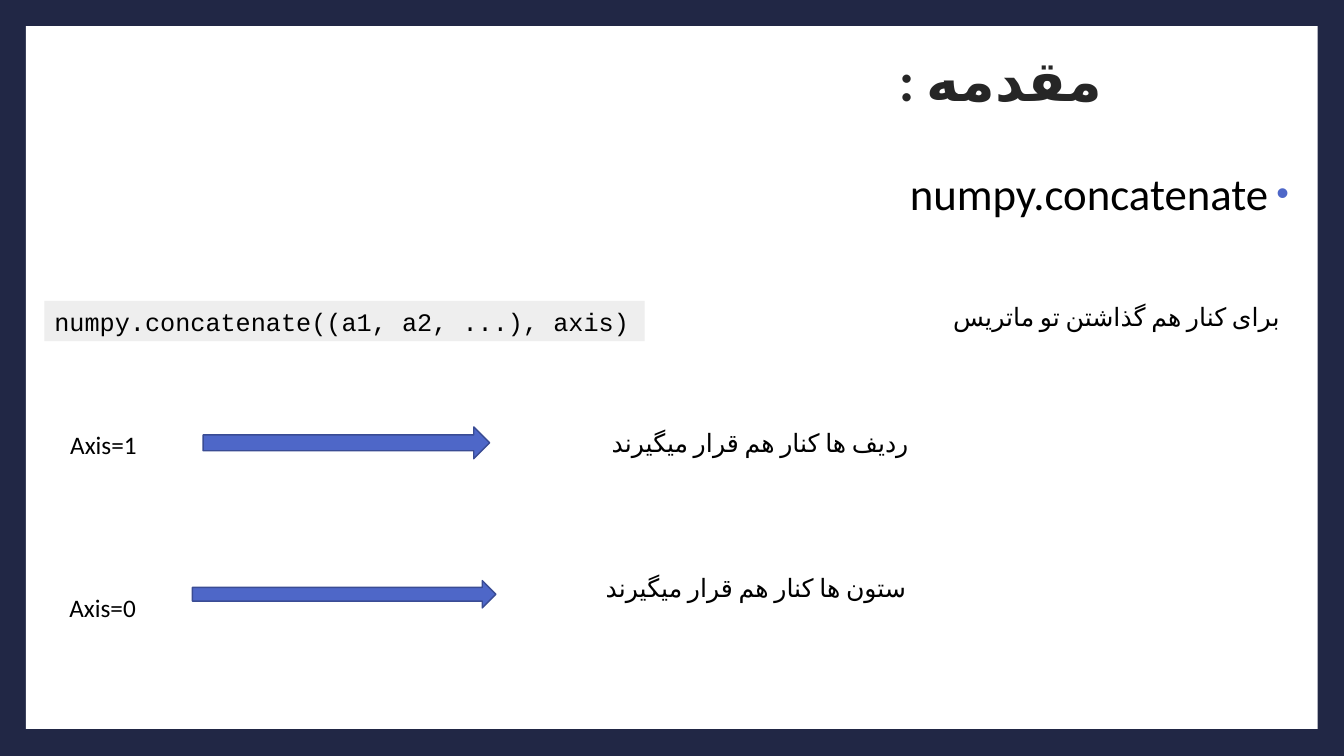
"""Build a slide that introduces numpy.concatenate and its axis argument."""
from lxml import etree
from pptx import Presentation
from pptx import util as u
from pptx.dml.color import RGBColor
from pptx.enum import lang, shapes, text
from pptx.oxml import ns

HUES = {"navy": "212745", "white": "FFFFFF", "blue": "4E67C8", "edge": "3A4C94",
        "grey": "EEEEEE", "ink": "262626", "black": "000000"}


def hue(name):
    return RGBColor.from_string(HUES[name])


def shape(slide, kind, box, fill, edge=None):
    item = slide.shapes.add_shape(kind, *map(u.Cm, box))
    item.shadow.inherit = False
    item.fill.solid()
    item.fill.fore_color.rgb = hue(fill)
    if edge:
        item.line.color.rgb = hue(edge)
        item.line.width = u.Pt(1)
    else:
        item.line.fill.background()
    return item


def write(item, words, size=18, font="Calibri", color="black", bold=False):
    frame = item.text_frame
    frame.word_wrap = True
    para = frame.paragraphs[0]
    para.text = words
    para.alignment = text.PP_ALIGN.LEFT
    para.font.size = u.Pt(size)
    para.font.name = font
    para.font.bold = bold
    para.font.color.rgb = hue(color)
    return para


def label(slide, box, words, **style):
    return write(slide.shapes.add_textbox(*map(u.Cm, box)), words, **style)


def farsi(para):
    font = para.runs[0].font
    font.language_id = lang.MSO_LANGUAGE_ID.FARSI
    etree.SubElement(font._element, ns.qn("a:cs"), typeface="Calibri")
    return para


def middle(item):
    item.text_frame.vertical_anchor = text.MSO_ANCHOR.MIDDLE


def flip(para):
    para.alignment = text.PP_ALIGN.RIGHT
    para.line_spacing = 0.9
    props = para._p.get_or_add_pPr()
    props.set("rtl", "1")
    return props


def bullet(props):
    props.set("marL", str(u.Cm(0.64)))
    props.set("indent", str(u.Cm(-0.51)))
    color = etree.SubElement(props, ns.qn("a:buClr"))
    etree.SubElement(color, ns.qn("a:srgbClr"), val=HUES["blue"])
    etree.SubElement(props, ns.qn("a:buSzPct"), val="80000")
    etree.SubElement(props, ns.qn("a:buFont"), typeface="Arial")
    mark = etree.SubElement(props, ns.qn("a:buChar"), char="•")
    props.extend([mark] + props.findall(ns.qn("a:defRPr")))


def main():
    deck = Presentation()
    deck.slide_width, deck.slide_height = u.Cm(33.87), u.Cm(19.05)
    slide = deck.slides.add_slide(deck.slide_layouts[6])
    slide.background.fill.solid()
    slide.background.fill.fore_color.rgb = hue("navy")
    rect, arrow = shapes.MSO_SHAPE.RECTANGLE, shapes.MSO_SHAPE.RIGHT_ARROW

    shape(slide, rect, (0.65, 0.66, 32.56, 17.71), "white")

    title = slide.shapes.add_textbox(*map(u.Cm, (3, 1.14, 25.04, 1.93)))
    middle(title)
    flip(farsi(write(title, "مقدمه : ", size=40, color="ink", bold=True)))

    topic = shape(slide, rect, (0.86, 3.48, 32, 2.92), "white")
    middle(topic)
    para = write(topic, "numpy.concatenate", size=32)
    para.space_before = u.Pt(14)
    bullet(flip(para))

    farsi(label(slide, (23.77, 7.47, 9.09, 1.02), "برای کنار هم گذاشتن تو ماتریس"))
    code = shape(slide, rect, (1.12, 7.58, 15.13, 1.02), "grey")
    middle(code)
    write(code, "numpy.concatenate((a1, a2, ...), axis)", font="Courier New")

    rows = [
        ("Axis=1", (1.52, 10.69), (5.12, 10.76, 7.22, 0.8),
         "ردیف ها کنار هم قرار میگیرند", (15.16, 10.64)),
        ("Axis=0", (1.5, 14.81), (4.85, 14.63, 7.65, 0.69),
         "ستون ها کنار هم قرار میگیرند", (15.01, 14.3)),
    ]
    for axis, start, box, words, end in rows:
        label(slide, (*start, 2.4, 1.02), axis)
        shape(slide, arrow, box, "blue", "edge")
        farsi(label(slide, (*end, 8.5, 1.02), words))

    deck.save("out.pptx")


if __name__ == "__main__":
    main()
